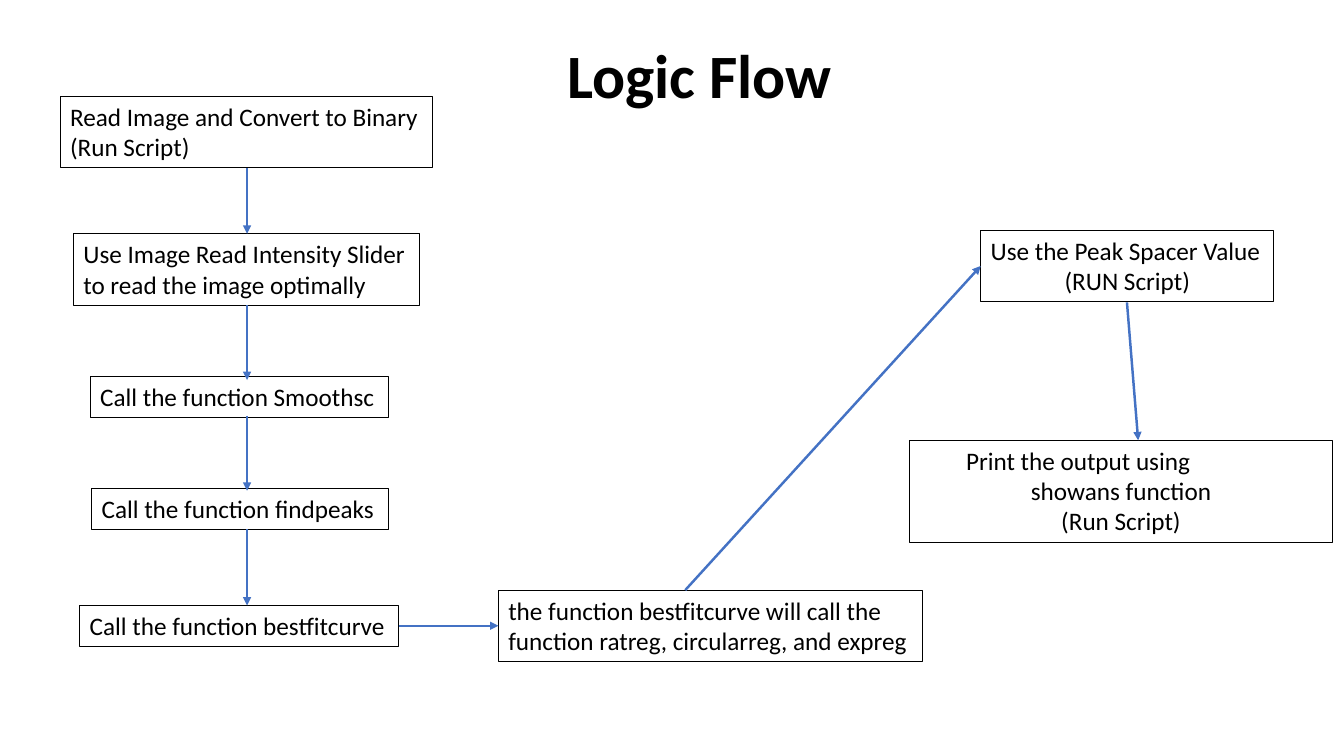
from dataclasses import dataclass
from lxml import etree
from pptx import Presentation
from pptx.dml.color import RGBColor
from pptx.enum.shapes import MSO_CONNECTOR, MSO_SHAPE
from pptx.enum.text import MSO_ANCHOR, PP_ALIGN
from pptx.oxml.ns import qn
from pptx.util import Pt

RECT = MSO_SHAPE.RECTANGLE
LINE = MSO_CONNECTOR.STRAIGHT
TOP, MIDDLE = MSO_ANCHOR.TOP, MSO_ANCHOR.MIDDLE
LEFT, CENTER = PP_ALIGN.LEFT, PP_ALIGN.CENTER


@dataclass(frozen=True)
class Theme:
    font: str = "Calibri"
    ink: RGBColor = RGBColor(0, 0, 0)
    blue: RGBColor = RGBColor(0x44, 0x72, 0xC4)
    title: float = 44
    body: float = 18
    edge: float = 0.75
    arrow: float = 1.75


def write(frame, lines, *, theme, size, bold=False, aligns=(), indents=(),
          spacing=None, anchor=TOP):
    """Fill a frame, one paragraph for each line."""
    frame.word_wrap = True
    frame.vertical_anchor = anchor
    for i, line in enumerate(lines):
        para = frame.paragraphs[0] if i == 0 else frame.add_paragraph()
        para.alignment = aligns[i] if aligns else LEFT
        para.line_spacing = spacing
        if indents and indents[i]:
            para._p.get_or_add_pPr().set("marL", str(Pt(indents[i])))
        run = para.add_run()
        run.text = line
        font = run.font
        font.name, font.size, font.bold = theme.font, Pt(size), bold
        font.color.rgb = theme.ink


class Board:
    def __init__(self, slide, theme):
        self.shapes, self.theme = slide.shapes, theme

    def title(self, text, x, y, w, h):
        box = self.shapes.add_textbox(Pt(x), Pt(y), Pt(w), Pt(h))
        write(box.text_frame, [text], theme=self.theme, size=self.theme.title,
              bold=True, spacing=0.9, anchor=MIDDLE)

    def step(self, x, y, w, h, lines, **style):
        box = self.shapes.add_shape(RECT, Pt(x), Pt(y), Pt(w), Pt(h))
        box.shadow.inherit = False
        box.fill.background()
        box.line.color.rgb = self.theme.ink
        box.line.width = Pt(self.theme.edge)
        write(box.text_frame, lines, theme=self.theme, size=self.theme.body, **style)

    def arrow(self, *ends):
        link = self.shapes.add_connector(LINE, *map(Pt, ends))
        link.line.color.rgb = self.theme.blue
        link.line.width = Pt(self.theme.arrow)
        etree.SubElement(link.line._get_or_add_ln(), qn("a:tailEnd"), type="triangle")
        etree.SubElement(link._element.spPr, qn("a:effectLst"))


def main():
    deck = Presentation()
    deck.slide_width, deck.slide_height = Pt(960), Pt(540)
    board = Board(deck.slides.add_slide(deck.slide_layouts[6]), Theme())

    # Box heights for one, two and three lines of text
    one, two, three = 29, 51, 73

    # Left column of steps
    board.step(43, 69, 266, two, ["Read Image and Convert to Binary", "(Run Script)"])
    board.step(52.5, 167, 247, two,
               ["Use Image Read Intensity Slider", "to read the image optimally"])
    board.step(64.5, 269, 213, one, ["Call the function Smoothsc"])
    board.step(65.5, 349, 212, one, ["Call the function findpeaks"])
    board.step(57, 432.5, 228, one, ["Call the function bestfitcurve"])

    # Curve fitting and output
    board.step(356, 421.5, 303, two,
               ["the function bestfitcurve will call the",
                "function ratreg, circularreg, and expreg"])
    board.step(700.5, 164.5, 209.5, two,
               ["Use the Peak Spacer Value", "(RUN Script)"], aligns=(LEFT, CENTER))
    board.step(649.5, 314.5, 302.5, three,
               ["Print the output using", "showans function", "(Run Script)"],
               aligns=(LEFT, CENTER, CENTER), indents=(33.5, 0, 0))

    # Arrows down the left column
    mid = 176.5
    for start, end in ((120, 167), (218, 271.5), (297, 350.5), (378, 432.5)):
        board.arrow(mid, start, mid, end)

    # Arrows to the right-hand steps
    board.arrow(285, 447, 356, 447)
    board.arrow(489.5, 421.5, 700.5, 190)
    board.arrow(805, 216, 813, 314.5)

    board.title("Logic Flow", 398, 26.5, 207.5, 59)
    deck.save("out.pptx")


if __name__ == "__main__":
    main()
